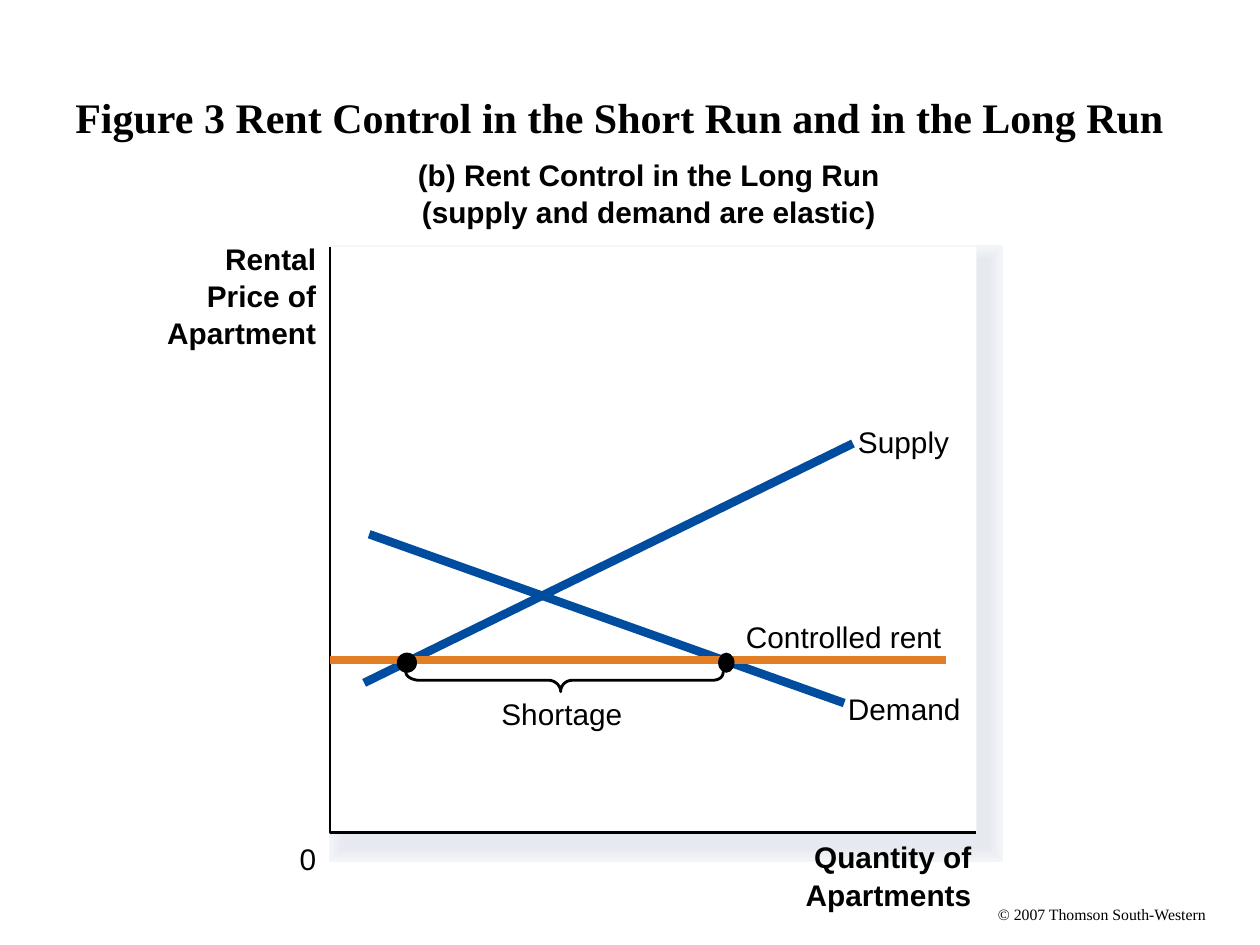
from pptx import Presentation
from pptx.dml.color import RGBColor
from pptx.enum.shapes import MSO_CONNECTOR, MSO_SHAPE
from pptx.enum.text import MSO_ANCHOR, MSO_AUTO_SIZE, PP_ALIGN
from pptx.util import Inches, Pt
from lxml.etree import SubElement
from pptx.oxml.ns import qn

THEME = {
    "ink": "000000", "panel": "FFFFFF", "curve": "004C9F", "rent": "E17E26",
    "serif": "Times New Roman", "sans": "Arial",
    "title": 24, "label": 17, "credit": 9, "thin": 1.62, "thick": 4.88,
}
SHADES = ["F3F6F9", "F2F4F8", "F1F4F7", "F0F2F5", "EEF1F4", "EDEFF3",
          "EBEEF2", "EAECF1", "E9EBF0", "E7EAEF", "E6E9EF"]
PLOT = (2.62, 1.96, 5.13, 4.65)
SHADOW = (2.73, 2.07, 5.11, 4.65)
SHADE_MAX, SHADE_STEP = 17.63, 1.6

TITLE = "Figure 3 Rent Control in the Short Run and in the Long Run"
CREDIT = "© 2007 Thomson South-Western"
LEFT, MID, RIGHT = PP_ALIGN.LEFT, PP_ALIGN.CENTER, PP_ALIGN.RIGHT
PITCH, HIGH, SLACK = 0.295, 0.28, 0.04

# lines as (text, width), anchor x, top, alignment, bold
LABELS = [
    ([("(b) Rent Control in the Long Run", 3.67),
      ("(supply and demand are elastic)", 3.6)], 5.15, 1.24, MID, True),
    ([("0", 0.13)], 2.51, 6.67, RIGHT, False),
    ([("Rental", 0.72), ("Price of", 0.87), ("Apartment", 1.18)],
     2.51, 1.91, RIGHT, True),
    ([("Quantity of", 1.25), ("Apartments", 1.32)], 7.71, 6.66, RIGHT, True),
    ([("Demand", 0.9)], 6.73, 5.48, LEFT, False),
    ([("Supply", 0.72)], 6.81, 3.36, LEFT, False),
    ([("Controlled rent", 1.55)], 5.92, 4.91, LEFT, False),
    ([("Shortage", 0.96)], 4.46, 5.52, MID, False),
]
CURVES = [
    ((2.93, 4.24), (6.7, 5.58), "curve"),
    ((2.89, 5.42), (6.77, 3.52), "curve"),
    ((7.51, 5.24), (2.62, 5.24), "rent"),
]
DOTS = [(3.15, 5.18, 0.16, 0.16), (5.7, 5.18, 0.13, 0.16)]
BRACE = [  # cubic arcs, joined by straight runs
    [(5.74, 5.33), (5.74, 5.38), (5.7, 5.4), (5.65, 5.4)],
    [(4.54, 5.4), (4.49, 5.4), (4.45, 5.44), (4.45, 5.49)],
    [(4.45, 5.49), (4.45, 5.44), (4.4, 5.4), (4.36, 5.4)],
    [(3.33, 5.4), (3.29, 5.4), (3.22, 5.38), (3.22, 5.33)],
]


def color(name):
    return RGBColor.from_string(THEME.get(name, name))


def stroke(line, name, width):
    line.color.rgb = color(name)
    line.width = Pt(width)


def add_text(slide, text, box, face, size, bold=False, align=LEFT):
    shape = slide.shapes.add_textbox(*map(Inches, box))
    frame = shape.text_frame
    frame.margin_left = frame.margin_right = 0
    frame.margin_top = frame.margin_bottom = 0
    frame.word_wrap = False
    frame.auto_size = MSO_AUTO_SIZE.SHAPE_TO_FIT_TEXT
    frame.text = text
    para = frame.paragraphs[0]
    para.alignment = align
    font = para.runs[0].font
    font.name, font.size, font.bold = THEME[face], Pt(THEME[size]), bold
    font.color.rgb = color("ink")
    return frame


def add_label(slide, lines, x, top, align, bold):
    """Stack lines at a fixed pitch, aligned on the anchor x."""
    shift = {LEFT: 0, MID: 0.5, RIGHT: 1}[align]
    for row, (text, width) in enumerate(lines):
        wide = width + SLACK
        box = (x - shift * wide, top + row * PITCH, wide, HIGH)
        add_text(slide, text, box, "sans", "label", bold, align)


def add_solid(slide, kind, box, fill, width=0):
    shape = slide.shapes.add_shape(kind, *map(Inches, box))
    shape.shadow.inherit = False
    shape.fill.solid()
    shape.fill.fore_color.rgb = color(fill)
    if width:
        stroke(shape.line, fill, width)
        edge = shape._element.spPr.find(qn("a:ln"))
        SubElement(edge, qn("a:miter"), lim="800000")
    else:
        shape.line.fill.background()


def add_line(slide, start, end, name):
    line = slide.shapes.add_connector(
        MSO_CONNECTOR.STRAIGHT, *map(Inches, start + end))
    stroke(line.line, name, THEME["thick"])
    SubElement(line._element.spPr, qn("a:effectLst"))


def add_path(slide, points):
    spots = [(Inches(x), Inches(y)) for x, y in points]
    pen = slide.shapes.build_freeform(*spots[0])
    pen.add_line_segments(spots[1:], close=False)
    shape = pen.convert_to_shape()
    shape.shadow.inherit = False
    shape.fill.background()
    stroke(shape.line, "ink", THEME["thin"])


def trace(arc, steps=10):
    """Points along a cubic Bezier arc."""
    for i in range(steps + 1):
        t = i / steps
        u = 1 - t
        parts = (u ** 3, 3 * u * u * t, 3 * u * t * t, t ** 3)
        yield tuple(sum(w * p[axis] for w, p in zip(parts, arc))
                    for axis in (0, 1))


def main():
    deck = Presentation()
    deck.slide_width, deck.slide_height = Inches(10), Inches(7.5)
    slide = deck.slides.add_slide(deck.slide_layouts[6])

    add_text(slide, CREDIT, (7.92, 7.18, 1.66, 0.15), "serif", "credit")
    head = add_text(slide, TITLE, (0.5, 0.3, 9, 1.25), "serif", "title", True)
    head.margin_left = head.margin_right = Inches(0.1)
    head.word_wrap = True
    head.auto_size = MSO_AUTO_SIZE.NONE
    head.vertical_anchor = MSO_ANCHOR.MIDDLE

    for i, shade in enumerate(SHADES):
        add_solid(slide, MSO_SHAPE.RECTANGLE, SHADOW, shade,
                  SHADE_MAX - i * SHADE_STEP)
    add_solid(slide, MSO_SHAPE.RECTANGLE, PLOT, "panel")
    x, y, wide, high = PLOT
    add_path(slide, [(x, y), (x, y + high), (x + wide, y + high)])

    for curve in CURVES:
        add_line(slide, *curve)
    add_path(slide, [spot for arc in BRACE for spot in trace(arc)])
    for dot in DOTS:
        add_solid(slide, MSO_SHAPE.OVAL, dot, "ink")
    for label in LABELS:
        add_label(slide, *label)
    deck.save("out.pptx")


if __name__ == "__main__":
    main()
